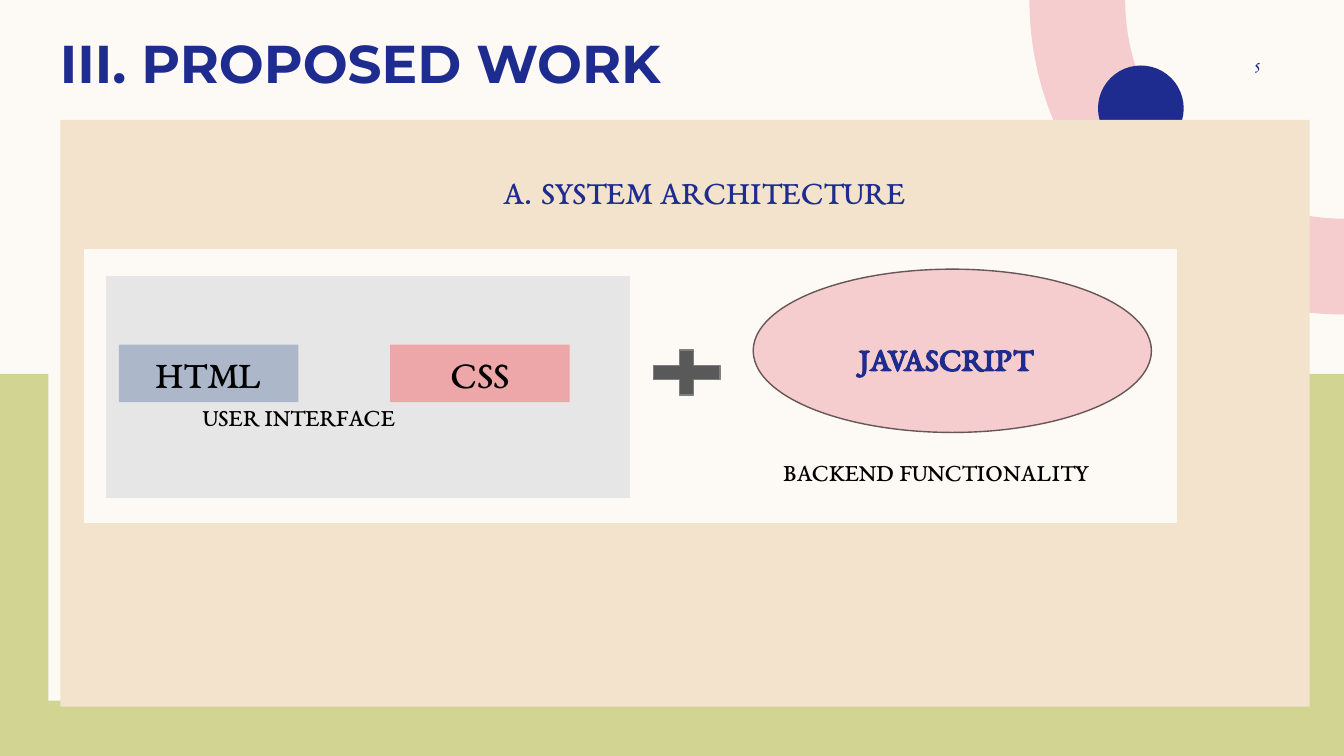
from lxml.etree import SubElement
from pptx import Presentation
from pptx.dml.color import RGBColor
from pptx.enum.shapes import MSO_SHAPE as SHAPE
from pptx.enum.text import MSO_ANCHOR as ANCHOR, PP_ALIGN as ALIGN
from pptx.oxml.ns import qn
from pptx.util import Inches, Pt

WIDTH, HEIGHT = 13.33, 7.5
SERIF, SANS = "EB Garamond", "Montserrat"
CREAM, NAVY, PINK, BLACK = "FDFAF6", "1F2C8F", "F5CDCE", "000000"

TITLE = "III. PROPOSED WORK"
SECTION = "SYSTEM ARCHITECTURE"
PAGE_NUMBER = "5"
FRONTEND_LABEL = "USER INTERFACE"
FRONTEND_PARTS = [("HTML", "ACB8CA"), ("CSS", "EDA7A9")]
BACKEND = "JAVASCRIPT"
BACKEND_LABEL = "BACKEND FUNCTIONALITY"

FIRST_PART, PART_STEP = (1.18, 3.42, 1.78, 0.57), 2.69
# Outer and inner radius of the arcs around the top right corner
CORNER_ARCS = [(3.12, 2.17, PINK), (1.1, 0, CREAM)]
QUARTER_HANDLE = 0.55  # handle length of a quarter circle with radius 1


def rgb(color):
    return RGBColor.from_string(color)


def paint(shape, fill, line=None, line_width=1):
    shape.shadow.inherit = False
    shape.fill.solid()
    shape.fill.fore_color.rgb = rgb(fill)
    if line:
        shape.line.color.rgb = rgb(line)
        shape.line.width = Pt(line_width)
    else:
        shape.line.fill.background()


def add_shape(kind, box, fill, line=None, line_width=1):
    shape = slide.shapes.add_shape(kind, *map(Inches, box))
    paint(shape, fill, line, line_width)
    return shape


def write(shape, text, size, color, align=ALIGN.CENTER, anchor=ANCHOR.TOP,
          insets=(0.1, 0.05, 0.1, 0.05), font=SERIF, bold=False):
    """Fill a shape with one paragraph; insets run left, top, right, bottom."""
    frame = shape.text_frame
    frame.word_wrap = True
    frame.vertical_anchor = anchor
    (frame.margin_left, frame.margin_top,
     frame.margin_right, frame.margin_bottom) = map(Inches, insets)
    frame.text = text
    paragraph = frame.paragraphs[0]
    paragraph.alignment = align
    run_font = paragraph.runs[0].font
    run_font.name, run_font.size, run_font.bold = font, Pt(size), bold
    run_font.color.rgb = rgb(color)
    return paragraph


def add_text(box, *args, **options):
    write(slide.shapes.add_textbox(*map(Inches, box)), *args, **options)


def number_by_letter(paragraph, color):
    properties = paragraph._p.get_or_add_pPr()
    properties.set("marL", str(Inches(0.74)))
    properties.set("indent", str(Inches(-0.38)))
    bullet_color = SubElement(properties, qn("a:buClr"))
    SubElement(bullet_color, qn("a:srgbClr")).set("val", color)
    SubElement(properties, qn("a:buFont")).set("typeface", SERIF)
    SubElement(properties, qn("a:buAutoNum")).set("type", "alphaUcPeriod")


def quarter(radius):
    """Start, two handles and end of the arc from the top to the right edge."""
    handle = radius * QUARTER_HANDLE
    return [(WIDTH - radius, 0), (WIDTH - radius, handle),
            (WIDTH - handle, radius), (WIDTH, radius)]


def bend(segments):
    """Turn three straight segments into one cubic curve."""
    curve = segments[0]
    curve.tag = qn("a:cubicBezTo")
    for segment in segments[1:]:
        curve.append(segment[0])
        segment.getparent().remove(segment)


def add_corner_arc(outer, inner, fill):
    points = quarter(outer) + (quarter(inner)[::-1] if inner else [(WIDTH, 0)])
    corners = [(Inches(x), Inches(y)) for x, y in points]
    outline = slide.shapes.build_freeform(*corners[0])
    outline.add_line_segments(corners[1:], close=True)
    arc = outline.convert_to_shape()
    segments = list(arc._element.iter(qn("a:lnTo")))
    bend(segments[:3])
    if inner:
        bend(segments[4:7])
    paint(arc, fill)


prs = Presentation()
prs.slide_width, prs.slide_height = Inches(WIDTH), Inches(HEIGHT)
slide = prs.slides.add_slide(prs.slide_layouts[6])
slide.background.fill.solid()
slide.background.fill.fore_color.rgb = rgb(CREAM)

# Backdrop
add_shape(SHAPE.RECTANGLE, (-0.03, 3.71, 13.36, 3.79), "D2D592")
add_shape(SHAPE.RECTANGLE, (0.48, 0.36, 12.36, 6.59), CREAM)
for corner_arc in CORNER_ARCS:
    add_corner_arc(*corner_arc)
add_shape(SHAPE.OVAL, (10.89, 0.65, 0.85, 0.85), NAVY)

# Headings
add_text((0.21, 0.17, 6.73, 0.81), TITLE, 38, NAVY,
         anchor=ANCHOR.BOTTOM, font=SANS, bold=True)
panel = add_shape(SHAPE.RECTANGLE, (0.6, 1.19, 12.39, 5.82), "F3E3CD")
section = write(panel, SECTION, 24, NAVY, insets=(0.11, 0.51, 0.1, 0.05))
number_by_letter(section, NAVY)
add_text((11.42, 0.5, 1.08, 0.27), PAGE_NUMBER, 12, NAVY,
         align=ALIGN.RIGHT, anchor=ANCHOR.MIDDLE, insets=(0.1, 0.05, 0, 0.05))

# Architecture diagram
add_shape(SHAPE.RECTANGLE, (0.84, 2.48, 10.83, 2.7), CREAM, CREAM)
backend = add_shape(SHAPE.OVAL, (7.47, 2.67, 3.95, 1.62), PINK, "675656")
write(backend, BACKEND, 24, NAVY, anchor=ANCHOR.MIDDLE,
      insets=(0.1, 0.18, 0.23, 0.05), bold=True)
frontend = add_shape(SHAPE.RECTANGLE, (1.05, 2.73, 5.2, 2.22), "E7E6E6", CREAM, 0.75)
write(frontend, FRONTEND_LABEL, 18, BLACK, align=ALIGN.LEFT,
      insets=(0.96, 1.25, 0.1, 0.05))
left, top, width, height = FIRST_PART
for index, (part, fill) in enumerate(FRONTEND_PARTS):
    box = (left + index * PART_STEP, top, width, height)
    write(add_shape(SHAPE.RECTANGLE, box, fill), part, 28, BLACK)
add_text((7.67, 4.48, 3.64, 0.4), BACKEND_LABEL, 18, BLACK, align=ALIGN.LEFT)
plus = add_shape(SHAPE.MATH_PLUS, (6.36, 3.39, 0.9, 0.61), "595959", "7F7F7F")
plus.adjustments[0] = 0.235

prs.save("out.pptx")
